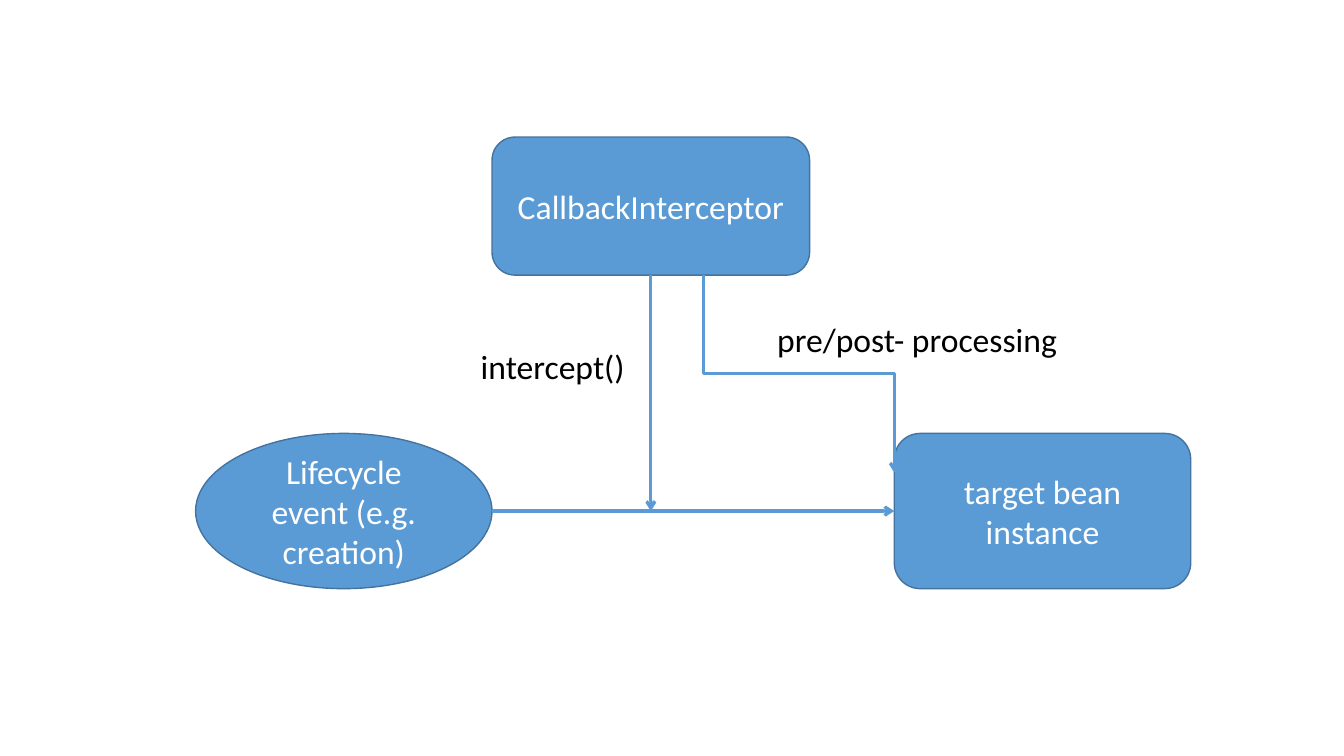
import pptx
import pptx.util
import pptx.dml.color
import pptx.enum.shapes
import pptx.enum.text
import pptx.oxml.ns
import pptx.oxml.xmlchemy

Inches, Pt = pptx.util.Inches, pptx.util.Pt
RGBColor = pptx.dml.color.RGBColor
SHAPE = pptx.enum.shapes.MSO_SHAPE
CONNECTOR = pptx.enum.shapes.MSO_CONNECTOR
ALIGN = pptx.enum.text.PP_ALIGN
ANCHOR = pptx.enum.text.MSO_ANCHOR
OxmlElement = pptx.oxml.xmlchemy.OxmlElement

BLUE = RGBColor(0x5B, 0x9B, 0xD5)
DARK_BLUE = RGBColor(0x43, 0x73, 0x9E)
WHITE = RGBColor(0xFF, 0xFF, 0xFF)
BLACK = RGBColor(0, 0, 0)

NODES = {
    "event": ("Lifecycle event (e.g. creation)", SHAPE.OVAL, (1.94, 4.3, 2.94, 1.54)),
    "target": ("target bean instance", SHAPE.ROUNDED_RECTANGLE, (8.87, 4.3, 2.94, 1.54)),
    "interceptor": ("CallbackInterceptor", SHAPE.ROUNDED_RECTANGLE, (4.88, 1.36, 3.15, 1.37)),
}
LABELS = [
    ("intercept()", (4.67, 3.38, 1.64, 0.5)),
    ("pre/post- processing", (7.61, 3.11, 3.01, 0.5)),
]
PROCESSING_START_X = 6.98
PROCESSING_END_Y = 4.69

presentation = pptx.Presentation()
presentation.slide_width = Inches(13.33)
presentation.slide_height = Inches(7.5)
slide = presentation.slides.add_slide(presentation.slide_layouts[6])


def write(frame, text, color, align):
    paragraph = frame.paragraphs[0]
    paragraph.alignment = align
    run = paragraph.add_run()
    run.text = text
    run.font.name = "Calibri"
    run.font.size = Pt(24)
    run.font.color.rgb = color


def add_node(text, outline, box):
    node = slide.shapes.add_shape(outline, *map(Inches, box))
    node.shadow.inherit = False
    node.fill.solid()
    node.fill.fore_color.rgb = BLUE
    node.line.color.rgb = DARK_BLUE
    node.line.width = Pt(1)
    node.text_frame.word_wrap = True
    node.text_frame.vertical_anchor = ANCHOR.MIDDLE
    write(node.text_frame, text, WHITE, ALIGN.CENTER)
    return node


def add_arrow(kind, start, end):
    arrow = slide.shapes.add_connector(kind, *start, *end)
    arrow.line.color.rgb = BLUE
    arrow.line.width = Pt(2.25)
    properties = arrow._element.spPr
    tail = OxmlElement("a:tailEnd")
    tail.set("type", "arrow")
    properties.find(pptx.oxml.ns.qn("a:ln")).append(tail)
    properties.append(OxmlElement("a:effectLst"))
    return arrow


nodes = {name: add_node(*node) for name, node in NODES.items()}
event, target, interceptor = nodes["event"], nodes["target"], nodes["interceptor"]

flow_y = event.top + event.height // 2
intercept_x = interceptor.left + interceptor.width // 2
interceptor_bottom = interceptor.top + interceptor.height

invocation = add_arrow(
    CONNECTOR.STRAIGHT, (event.left + event.width, flow_y), (target.left, flow_y))
invocation.end_connect(target, 1)

interception = add_arrow(
    CONNECTOR.STRAIGHT, (intercept_x, interceptor_bottom), (intercept_x, flow_y))
interception.begin_connect(interceptor, 2)

start_x, end_y = Inches(PROCESSING_START_X), Inches(PROCESSING_END_Y)
center_x = (start_x + target.left) // 2
center_y = (interceptor_bottom + end_y) // 2
half_run = (target.left - start_x) // 2
half_drop = (end_y - interceptor_bottom) // 2
processing = add_arrow(
    CONNECTOR.ELBOW,
    (center_x + half_drop, center_y - half_run),
    (center_x - half_drop, center_y + half_run))
processing._element.spPr.find(pptx.oxml.ns.qn("a:xfrm")).set("rot", str(270 * 60000))

for text, box in LABELS:
    label = slide.shapes.add_textbox(*map(Inches, box))
    label.text_frame.word_wrap = False
    label.text_frame.auto_size = pptx.enum.text.MSO_AUTO_SIZE.SHAPE_TO_FIT_TEXT
    write(label.text_frame, text, BLACK, ALIGN.LEFT)

presentation.save("out.pptx")
